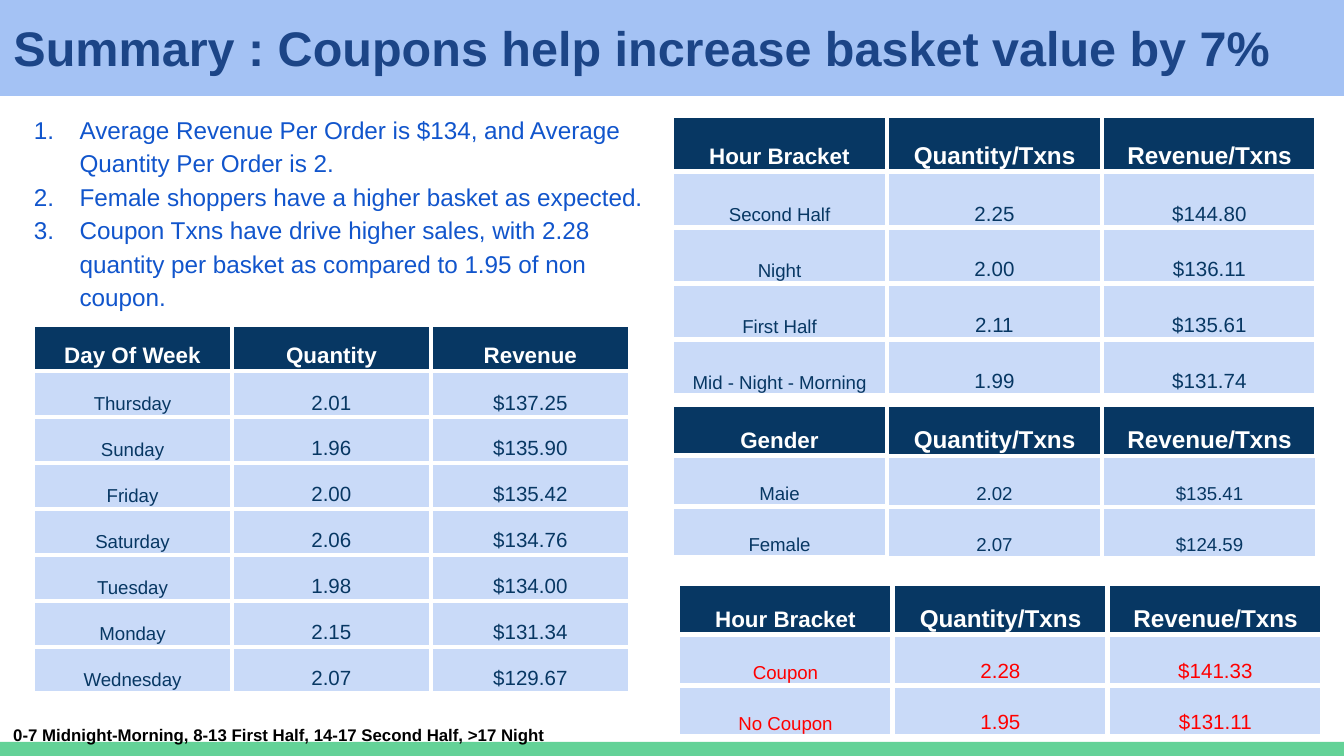
from dataclasses import dataclass

from lxml import etree
from pptx import Presentation
from pptx import util as u
from pptx.dml.color import RGBColor
from pptx.enum import shapes, text
from pptx.oxml import ns

EMU_PER_PX = 9144000 / 1344
FONT = "Arial"
COLORS = {
    "band": "A4C2F4", "title": "1C4587", "list": "1155CC", "note": "000000",
    "footer": "63D297", "header": "073763", "cell": "C9DAF8",
    "light": "FFFFFF", "alert": "FF0000",
}


@dataclass
class Grid:
    left: int
    top: int
    column_width: int
    row_height: int
    rows: list[tuple[str, str, str]]
    header_size: int = 13
    value_size: int = 11
    ink: str = "header"
    outer_border: float = 3
    inner_border: float = 3


def px(length: float) -> u.Emu:
    return u.Emu(round(length * EMU_PER_PX))


def rgb(name: str) -> RGBColor:
    return RGBColor.from_string(COLORS[name])


def style(para, size: float, color: str, bold: bool = False) -> None:
    para.font.name = FONT
    para.font.size = u.Pt(size)
    para.font.bold = bold
    para.font.color.rgb = rgb(color)


def place(box, left: int, top: int, width: int, height: int) -> None:
    box.left, box.top, box.width, box.height = map(px, (left, top, width, height))


def set_frame(box):
    frame = box.text_frame
    frame.word_wrap = True
    frame.auto_size = text.MSO_AUTO_SIZE.NONE
    frame.vertical_anchor = text.MSO_ANCHOR.TOP
    frame.margin_left = frame.margin_right = u.Inches(0.1)
    frame.margin_top = frame.margin_bottom = u.Inches(0.1)
    return frame


def add_band(page, top: int, height: int, color: str) -> None:
    band = page.shapes.add_shape(
        shapes.MSO_SHAPE.RECTANGLE, 0, px(top), px(1344), px(height))
    band.shadow.inherit = False
    band.fill.solid()
    band.fill.fore_color.rgb = rgb(color)
    band.line.fill.background()
    page.shapes.element.insert(2, band.element)  # behind the placeholders


def number_item(para) -> None:
    props = para._p.get_or_add_pPr()
    props.set("marL", str(u.Inches(0.5)))
    props.set("indent", str(-u.Inches(0.34)))
    bullet_color = etree.Element(ns.qn("a:buClr"))
    etree.SubElement(bullet_color, ns.qn("a:srgbClr"), val=COLORS["list"])
    bullet = etree.Element(ns.qn("a:buAutoNum"), type="arabicPeriod")
    # Bullet elements sit between the spacing and the default font
    at = props.index(props.find(ns.qn("a:defRPr")))
    props.insert(at, bullet_color)
    props.insert(at + 1, bullet)


def set_borders(cell, widths: dict[str, float]) -> None:
    props = cell._tc.get_or_add_tcPr()
    for position, (side, width) in enumerate(widths.items()):
        line = etree.Element(ns.qn(f"a:ln{side}"), w=str(u.Pt(width)))
        fill = etree.SubElement(line, ns.qn("a:solidFill"))
        etree.SubElement(fill, ns.qn("a:srgbClr"), val=COLORS["light"])
        props.insert(position, line)


def add_grid(page, grid: Grid) -> None:
    row_count, column_count = len(grid.rows), len(grid.rows[0])
    table = page.shapes.add_table(
        row_count, column_count, px(grid.left), px(grid.top),
        px(grid.column_width * column_count), px(grid.row_height * row_count)).table
    table.first_row = table.horz_banding = False
    for row, values in enumerate(grid.rows):
        for column, value in enumerate(values):
            cell = table.cell(row, column)
            head, first = row == 0, column == 0
            cell.text = value
            cell.vertical_anchor = text.MSO_ANCHOR.BOTTOM
            cell.margin_left = cell.margin_right = u.Inches(0.03)
            cell.margin_top = cell.margin_bottom = u.Inches(0.02)
            cell.fill.solid()
            cell.fill.fore_color.rgb = rgb("header" if head else "cell")
            outer = {"L": head or first, "R": head, "T": head or first, "B": first}
            set_borders(cell, {side: grid.outer_border if is_outer else grid.inner_border
                               for side, is_outer in outer.items()})
            para = cell.text_frame.paragraphs[0]
            para.alignment = text.PP_ALIGN.CENTER
            para.line_spacing = 1.15 if head else 1.5
            if head:
                style(para, 12 if first else grid.header_size, "light", True)
            else:
                style(para, 10 if first else grid.value_size, grid.ink)


ITEMS = [
    "Average Revenue Per Order is $134, and Average Quantity Per Order is 2.",
    "Female shoppers have a higher basket as expected.",
    "Coupon Txns have drive higher sales, with 2.28 quantity per basket "
    "as compared to 1.95 of non coupon.",
]
GRIDS = [
    Grid(672, 116, 215, 56, [
        ("Hour Bracket", "Quantity/Txns", "Revenue/Txns"),
        ("Second Half", "2.25", "$144.80"),
        ("Night", "2.00", "$136.11"),
        ("First Half", "2.11", "$135.61"),
        ("Mid - Night - Morning", "1.99", "$131.74"),
    ]),
    Grid(33, 325, 199, 46, [
        ("Day Of Week", "Quantity", "Revenue"),
        ("Thursday", "2.01", "$137.25"),
        ("Sunday", "1.96", "$135.90"),
        ("Friday", "2.00", "$135.42"),
        ("Saturday", "2.06", "$134.76"),
        ("Tuesday", "1.98", "$134.00"),
        ("Monday", "2.15", "$131.34"),
        ("Wednesday", "2.07", "$129.67"),
    ], header_size=12, outer_border=2.25, inner_border=2.25),
    Grid(672, 405, 215, 51, [
        ("Gender", "Quantity/Txns", "Revenue/Txns"),
        ("Maie", "2.02", "$135.41"),
        ("Female", "2.07", "$124.59"),
    ], value_size=10, inner_border=2.25),
    Grid(678, 584, 215, 51, [
        ("Hour Bracket", "Quantity/Txns", "Revenue/Txns"),
        ("Coupon", "2.28", "$141.33"),
        ("No Coupon", "1.95", "$131.11"),
    ], ink="alert"),
]


def main() -> None:
    deck = Presentation()
    deck.slide_width, deck.slide_height = px(1344), px(756)
    page = deck.slides.add_slide(deck.slide_layouts[1])
    title, body = page.placeholders

    # Bands at the top and bottom
    add_band(page, 0, 96, "band")
    add_band(page, 742, 14, "footer")

    # Title
    place(title, 0, 5, 1344, 85)
    frame = set_frame(title)
    frame.text = "Summary : Coupons help increase basket value by 7%"
    frame.paragraphs[0].alignment = text.PP_ALIGN.LEFT
    style(frame.paragraphs[0], 26, "title", True)

    # Numbered findings
    place(body, -1, 97, 673, 281)
    frame = set_frame(body)
    frame.text = "\n".join(ITEMS)
    for para in frame.paragraphs:
        para.line_spacing = 1.15
        para.space_before = u.Pt(0)
        style(para, 13, "list")
        number_item(para)

    # Note on the hour brackets
    note = page.shapes.add_textbox(0, px(711), px(1269), px(27))
    frame = set_frame(note)
    frame.text = "0-7 Midnight-Morning, 8-13 First Half, 14-17 Second Half, >17 Night"
    style(frame.paragraphs[0], 9, "note", True)

    # Tables
    for grid in GRIDS:
        add_grid(page, grid)

    deck.save("out.pptx")


if __name__ == "__main__":
    main()
